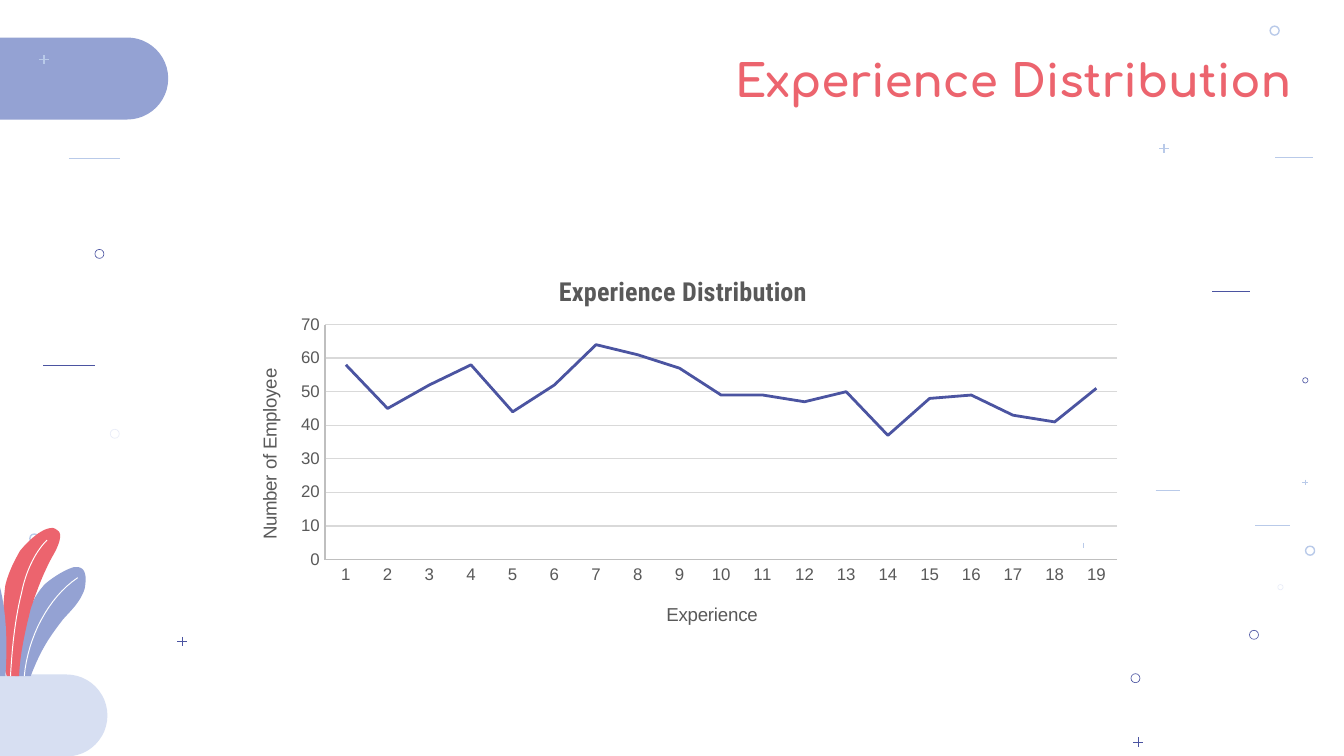
from dataclasses import dataclass

from lxml.etree import SubElement
from pptx import Presentation
from pptx.chart.data import CategoryChartData as ChartData
from pptx.dml.color import RGBColor as Color
from pptx.enum.chart import XL_CHART_TYPE as ChartType
from pptx.enum.chart import XL_MARKER_STYLE as Marker
from pptx.enum.chart import XL_TICK_MARK as Tick
from pptx.enum.shapes import MSO_CONNECTOR as Connector
from pptx.enum.shapes import MSO_SHAPE as Shape
from pptx.enum.text import MSO_ANCHOR as Anchor
from pptx.enum.text import PP_ALIGN as Align
from pptx.oxml.ns import qn
from pptx.util import Cm, Pt


@dataclass(frozen=True)
class Theme:
    red: str = "EC646E"
    indigo: str = "4B54A1"
    lavender: str = "94A2D3"
    mist: str = "D7DFF2"
    sky: str = "B9CAE9"
    pale: str = "E8ECF8"
    white: str = "FFFFFF"
    grey: str = "595959"
    axis: str = "BFBFBF"
    grid: str = "D9D9D9"
    title_font: str = "Comfortaa"
    chart_title_font: str = "Roboto Condensed"
    chart_font: str = "Arial"
    title_size: float = 24
    chart_title_size: float = 14
    axis_title_size: float = 10
    label_size: float = 9
    hairline: float = 0.33
    vein: float = 0.52
    thin: float = 0.75
    series: float = 1.5


def write(frame, text, *, font, size, color, bold=False, align=None):
    para = frame.paragraphs[0]
    para.alignment = align
    span = para.add_run()
    span.text = text
    span.font.name = font
    span.font.size = Pt(size)
    span.font.bold = bold
    span.font.color.rgb = Color.from_string(color)


def stroke(line, color, width):
    line.color.rgb = Color.from_string(color)
    line.width = Pt(width)


def place(element, index, **fractions):
    for old in element.findall(qn("c:layout")):
        element.remove(old)
    layout = SubElement(element, qn("c:layout"))
    element.insert(index, layout)
    manual = SubElement(layout, qn("c:manualLayout"))
    if "w" in fractions:
        SubElement(manual, qn("c:layoutTarget")).set("val", "inner")
    for side in "xy":
        SubElement(manual, qn(f"c:{side}Mode")).set("val", "edge")
    for side, value in fractions.items():
        SubElement(manual, qn(f"c:{side}")).set("val", str(value))


def trace(start, steps, pieces=16):
    points = [start]
    for step in steps:
        if len(step) == 2:
            points.append(step)
            continue
        anchors = [points[-1], step[:2], step[2:4], step[4:]]
        for piece in range(1, pieces + 1):
            t = piece / pieces
            weights = ((1 - t) ** 3, 3 * t * (1 - t) ** 2, 3 * t * t * (1 - t), t ** 3)
            points.append(tuple(
                sum(w * a[axis] for w, a in zip(weights, anchors)) for axis in (0, 1)
            ))
    return points


class Page:
    def __init__(self, deck, theme):
        self.theme = theme
        self.slide = deck.slides.add_slide(deck.slide_layouts[5])
        self.shapes = self.slide.shapes

    def finish(self, shape, fill=None, line=None, width=0):
        shape.shadow.inherit = False
        if fill:
            shape.fill.solid()
            shape.fill.fore_color.rgb = Color.from_string(fill)
        else:
            shape.fill.background()
        if line:
            stroke(shape.line, line, width)
        else:
            shape.line.fill.background()

    def pill(self, left, top, color):
        box = self.shapes.add_shape(
            Shape.ROUNDED_RECTANGLE, Cm(left), Cm(top), Cm(5.26), Cm(1.55))
        box.adjustments[0] = 0.5
        self.finish(box, fill=color)

    def ring(self, x, y, size, color, width):
        box = self.shapes.add_shape(
            Shape.OVAL, Cm(x - size / 2), Cm(y - size / 2), Cm(size), Cm(size))
        self.finish(box, line=color, width=width)

    def dash(self, x, y, across, down, color, width):
        line = self.shapes.add_connector(
            Connector.STRAIGHT, Cm(x), Cm(y), Cm(x + across), Cm(y + down))
        stroke(line.line, color, width)
        SubElement(line._element.spPr, qn("a:effectLst"))

    def cross(self, x, y, size, color, width):
        self.dash(x - size / 2, y, size, 0, color, width)
        self.dash(x, y - size / 2, 0, size, color, width)

    def curve(self, start, steps, fill=None):
        points = [(Cm(x), Cm(y)) for x, y in trace(start, steps)]
        builder = self.shapes.build_freeform(*points[0])
        builder.add_line_segments(points[1:], close=bool(fill))
        line = None if fill else self.theme.white
        self.finish(builder.convert_to_shape(), fill, line, self.theme.vein)

    def title(self, text):
        theme = self.theme
        box = self.shapes.title
        box.left, box.top, box.width, box.height = Cm(7.24), Cm(0.71), Cm(17.42), Cm(1.6)
        frame = box.text_frame
        frame.word_wrap = True
        frame.vertical_anchor = Anchor.MIDDLE
        write(frame, text, font=theme.title_font, size=theme.title_size,
              color=theme.red, bold=True, align=Align.RIGHT)
        self.shapes._spTree.append(box._element)

    def axis(self, axis, text, x, y):
        theme = self.theme
        axis.has_title = True
        write(axis.axis_title.text_frame, text, font=theme.chart_font,
              size=theme.axis_title_size, color=theme.grey)
        place(axis.axis_title._element, 1, x=x, y=y)
        axis.major_tick_mark = axis.minor_tick_mark = Tick.NONE
        axis.tick_labels.font.size = Pt(theme.label_size)
        axis.tick_labels.font.color.rgb = Color.from_string(theme.grey)
        stroke(axis.format.line, theme.axis, theme.thin)

    def line_chart(self, text, values):
        theme = self.theme
        data = ChartData()
        data.categories = [str(year) for year in range(1, len(values) + 1)]
        data.add_series("Series 1", values)
        chart = self.shapes.add_chart(
            ChartType.LINE, Cm(4.29), Cm(4.62), Cm(17.17), Cm(7.62), data).chart
        chart.has_legend = False
        chart.font.name = theme.chart_font
        chart.font.size = Pt(theme.axis_title_size)
        chart.has_title = True
        write(chart.chart_title.text_frame, text, font=theme.chart_title_font,
              size=theme.chart_title_size, color=theme.grey, bold=True)
        place(chart.chart_title._element, 1, x=0.36, y=0.06)
        place(chart._chartSpace.chart.plotArea, 0, x=0.108, y=0.199, w=0.872, h=0.583)
        self.axis(chart.category_axis, "Experience", 0.48, 0.88)
        scale = chart.value_axis
        self.axis(scale, "Number of Employee", 0.03, 0.3)
        scale.minimum_scale, scale.maximum_scale, scale.major_unit = 0, 70, 10
        scale.has_major_gridlines = True
        stroke(scale.major_gridlines.format.line, theme.grid, theme.thin)
        chart.plots[0].vary_by_categories = False
        series = chart.plots[0].series[0]
        series.smooth = False
        series.marker.style = Marker.NONE
        stroke(series.format.line, theme.indigo, theme.series)


def main():
    deck = Presentation()
    deck.slide_width, deck.slide_height = Cm(25.4), Cm(14.29)
    theme = Theme()
    page = Page(deck, theme)
    page.pill(-2.08, 0.71, theme.lavender)
    page.pill(-3.23, 12.75, theme.mist)

    light = (theme.sky, theme.thin)
    dark = (theme.indigo, theme.hairline)
    faint = (theme.pale, theme.hairline)
    page.dash(20.48, 10.26, 0, 0.1, theme.sky, theme.hairline)
    for x, y, across, pen in (
        (1.3, 3, 0.97, light), (21.84, 9.27, 0.46, light), (23.72, 9.93, 0.66, light),
        (24.1, 2.98, 0.71, light), (22.91, 5.51, 0.71, dark), (0.82, 6.91, 0.97, dark),
    ):
        page.dash(x, y, across, 0, *pen)
    for x, y, size, pen in (
        (22, 2.81, 0.18, light), (24.67, 9.12, 0.11, light), (0.83, 1.13, 0.18, light),
        (3.44, 12.13, 0.18, dark), (21.51, 14.03, 0.18, dark),
    ):
        page.cross(x, y, size, *pen)
    for x, y, size, pen in (
        (24.67, 7.19, 0.1, dark), (1.88, 4.8, 0.17, dark), (21.46, 12.82, 0.17, dark),
        (23.7, 12, 0.17, dark), (24.76, 10.41, 0.17, light), (0.65, 10.18, 0.17, light),
        (24.09, 0.58, 0.17, light), (24.2, 11.1, 0.1, faint), (2.17, 8.2, 0.17, faint),
    ):
        page.ring(x, y, size, *pen)

    page.curve((1.45, 10.72), [
        (1.65, 10.72, 1.63, 10.97, 1.6, 11.13), (1.52, 11.38, 1.35, 11.53, 1.19, 11.71),
        (0.94, 12.04, 0.79, 12.24, 0.58, 12.78), (0.28, 12.78),
        (0.28, 12.78, 0.33, 11.61, 0.84, 11.05), (0.99, 10.92, 1.22, 10.77, 1.4, 10.72),
    ], theme.lavender)
    page.curve((0.99, 9.98), [
        (1.02, 9.98, 1.07, 10.01, 1.09, 10.03), (1.22, 10.11, 1.04, 10.44, 0.99, 10.52),
        (0.81, 10.85, 0.69, 11.18, 0.58, 11.51), (0.48, 11.91, 0.38, 12.34, 0.36, 12.78),
        (0.13, 12.78), (0, 12.52, 0.05, 11.43, 0.1, 11.07),
        (0.15, 10.85, 0.25, 10.64, 0.38, 10.41), (0.48, 10.29, 0.76, 9.98, 0.99, 9.98),
    ], theme.red)
    page.curve((-0.84, 9.96), [
        (-0.69, 9.96, -0.38, 10.24, -0.15, 10.69), (0.13, 11.23, 0.15, 12.17, 0.1, 12.78),
        (-0.23, 12.78), (-0.43, 12.55, -1.12, 10.72, -0.94, 10.06),
        (-0.91, 9.98, -0.89, 9.96, -0.84, 9.96),
    ], theme.lavender)
    page.curve((1.47, 10.92), [(0.91, 11.3, 0.53, 12.04, 0.46, 12.78)])
    page.curve((0.89, 10.21), [
        (0.64, 10.46, 0.48, 10.85, 0.41, 11.2), (0.28, 11.73, 0.23, 12.24, 0.2, 12.78)])

    heading = "Experience Distribution"
    page.title(heading)
    page.line_chart(heading, (58, 45, 52, 58, 44, 52, 64, 61, 57, 49,
                              49, 47, 50, 37, 48, 49, 43, 41, 51))
    deck.save("out.pptx")


if __name__ == "__main__":
    main()
